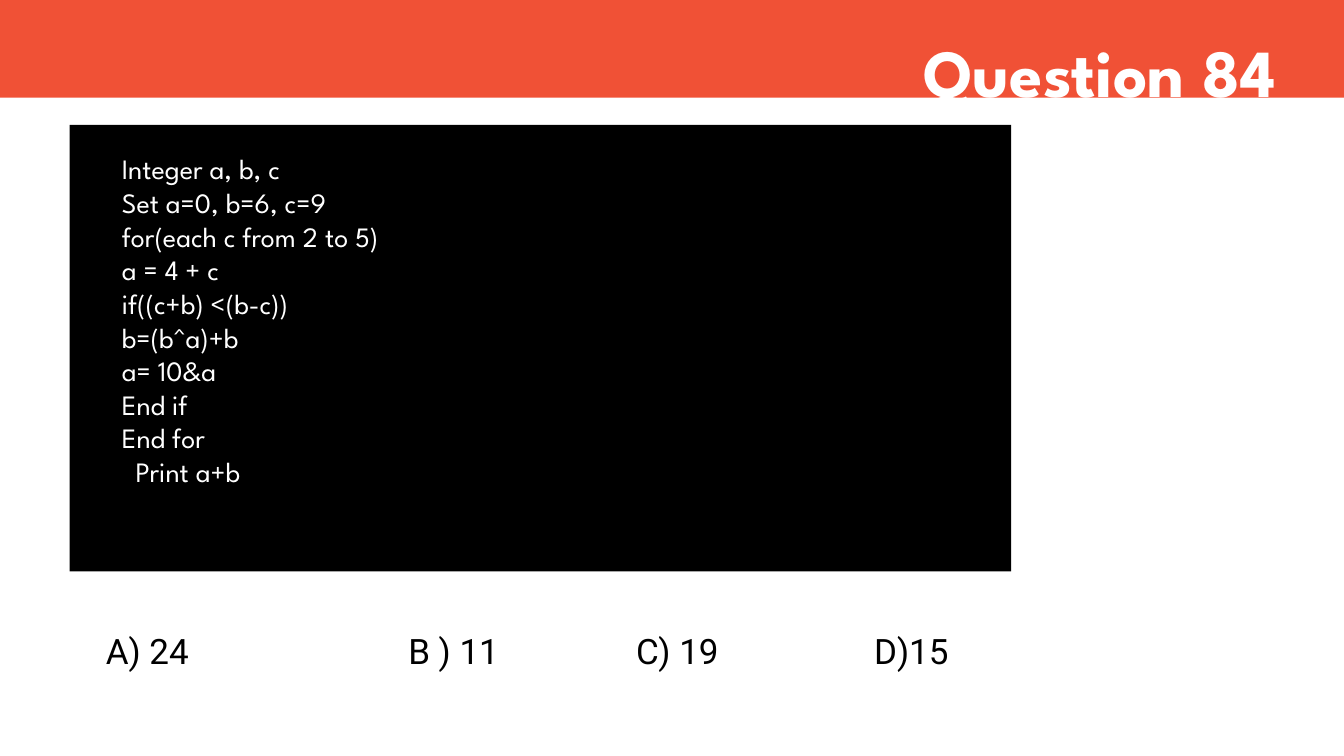
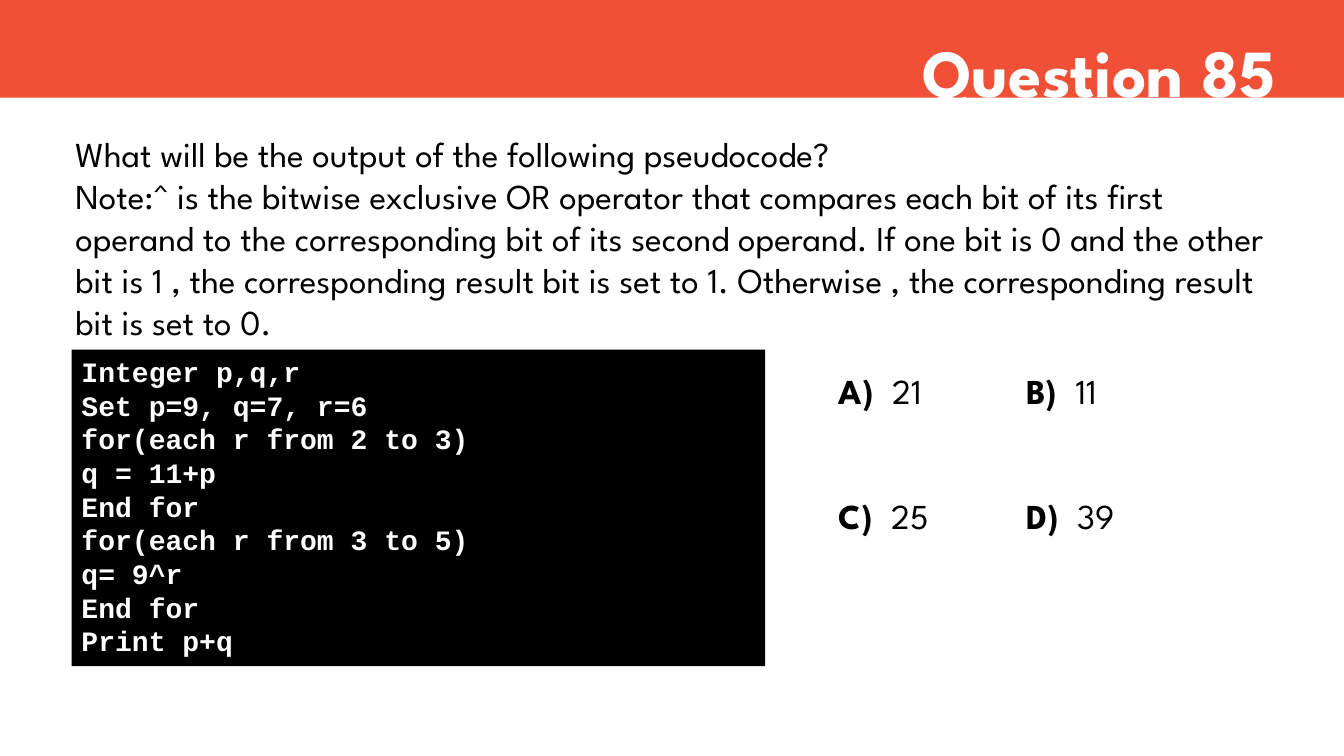
from dataclasses import dataclass

from pptx import Presentation
from pptx import util as u
from pptx.dml import color
from pptx.enum import shapes, text
from pptx.oxml import ns, xmlchemy

COLORS = {"band": "F05136", "code": "000000", "ink": "000000", "light": "FFFFFF"}
HEADING_FONT = "League Spartan"
CODE_FONT = "Courier New"
CHOICE_FONT = "Roboto"


@dataclass(frozen=True)
class Area:
    left: float
    top: float
    width: float
    height: float

    def lengths(self) -> list:
        return [u.Inches(side) for side in (self.left, self.top, self.width, self.height)]


@dataclass(frozen=True)
class Choice:
    label: str
    value: str


TITLE_AREA = Area(4.25, 0.25, 8.5, 0.91)
BAND_AREA = Area(0, 0, 13.33, 0.97)

CODE_84 = (
    "Integer a, b, c",
    "Set a=0, b=6, c=9",
    "for(each c from 2 to 5)",
    "a = 4 + c",
    "if((c+b) <(b-c))",
    "b=(b^a)+b",
    "a= 10&a",
    "End if",
    "End for",
    "  Print a+b",
)
CODE_85 = (
    "Integer p,q,r",
    "Set p=9, q=7, r=6",
    "for(each r from 2 to 3)",
    "q = 11+p",
    "End for",
    "for(each r from 3 to 5)",
    "q= 9^r",
    "End for",
    "Print p+q",
)
PROMPT_85 = (
    "What will be the output of the following pseudocode?",
    "Note:^ is the bitwise exclusive OR operator that compares each bit of its first "
    "operand to the corresponding bit of its second operand. If one bit is 0 and the "
    "other bit is 1 , the corresponding result bit is set to 1. Otherwise , the "
    "corresponding result bit is set to 0.",
)
CHOICES_84 = ("A) 24", "B ) 11", "C) 19", "D)15")
CHOICE_STOPS = (3, 5.26, 7.62)
CHOICES_85 = (Choice("A)  ", "21"), Choice("B)  ", "11"), Choice("C)  ", "25"), Choice("D)  ", "39"))


def add_panel(page, area: Area, fill: str):
    panel = page.shapes.add_shape(shapes.MSO_SHAPE.RECTANGLE, *area.lengths())
    panel.shadow.inherit = False
    panel.fill.solid()
    panel.fill.fore_color.rgb = color.RGBColor.from_string(COLORS[fill])
    panel.line.fill.background()
    return panel


def add_box(page, area: Area):
    box = page.shapes.add_textbox(*area.lengths())
    box.text_frame.auto_size = text.MSO_AUTO_SIZE.SHAPE_TO_FIT_TEXT
    return box


def add_tab_stops(para, stops: tuple) -> None:
    tabs = xmlchemy.OxmlElement("a:tabLst")
    for stop in stops:
        tab = xmlchemy.OxmlElement("a:tab")
        tab.set("pos", str(u.Inches(stop)))
        tab.set("algn", "l")
        tabs.append(tab)
    para._p.get_or_add_pPr().append(tabs)


def add_span(para, words: str, size: float, ink: str, font: str, bold: bool) -> None:
    span = para.add_run()
    span.text = words
    span.font.size = u.Pt(size)
    span.font.name = font
    span.font.bold = bold
    span.font.color.rgb = color.RGBColor.from_string(COLORS[ink])


def write_text(box, lines: tuple, *, size: float = 25, ink: str = "ink",
               font: str = HEADING_FONT, bold: bool = False,
               align=text.PP_ALIGN.LEFT, anchor=text.MSO_ANCHOR.TOP,
               spacing: float | None = None, stops: tuple = ()) -> None:
    frame = box.text_frame
    frame.word_wrap = True
    frame.vertical_anchor = anchor
    for index, line in enumerate(lines):
        para = frame.add_paragraph() if index else frame.paragraphs[0]
        para.alignment = align
        if spacing:
            para.line_spacing = spacing
        if stops:
            add_tab_stops(para, stops)
        if isinstance(line, Choice):
            add_span(para, line.label, size, ink, font, True)
            add_span(para, line.value, size, ink, font, False)
        else:
            add_span(para, line, size, ink, font, bold)


def add_question(deck, number: int):
    page = deck.slides.add_slide(deck.slide_layouts[6])
    add_panel(page, BAND_AREA, "band")
    write_text(add_box(page, TITLE_AREA), (f"Question {number}",), size=48,
               ink="light", bold=True, align=text.PP_ALIGN.RIGHT)
    return page


def build_question_84(deck) -> None:
    page = add_question(deck, 84)
    add_panel(page, Area(0.69, 1.24, 9.34, 4.43), "code")
    write_text(add_box(page, Area(1.11, 1.44, 7.35, 3.47)), CODE_84, size=20,
               ink="light", anchor=text.MSO_ANCHOR.MIDDLE)
    choices = add_box(page, Area(0.34, 6.2, 10.9, 0.59))
    choices.text_frame.margin_left = u.Inches(0.71)
    write_text(choices, ("\t".join(CHOICES_84),), font=CHOICE_FONT, stops=CHOICE_STOPS)


def build_question_85(deck) -> None:
    page = add_question(deck, 85)
    write_text(add_panel(page, Area(0.71, 3.47, 6.88, 3.14), "code"), CODE_85,
               size=20, ink="light", font=CODE_FONT, bold=True)
    write_text(add_box(page, Area(0.65, 1.27, 11.98, 2.2)), PROMPT_85)
    for index, choice in enumerate(CHOICES_85):
        row, column = divmod(index, 2)
        area = Area(8.22 + 1.86 * column, 3.41 + 1.24 * row, 2.55, 0.73)
        write_text(add_box(page, area), (choice,), spacing=1.5)


def main() -> None:
    deck = Presentation()
    deck.slide_width, deck.slide_height = u.Inches(13.33), u.Inches(7.5)
    build_question_84(deck)
    build_question_85(deck)
    deck.save("out.pptx")


if __name__ == "__main__":
    main()
